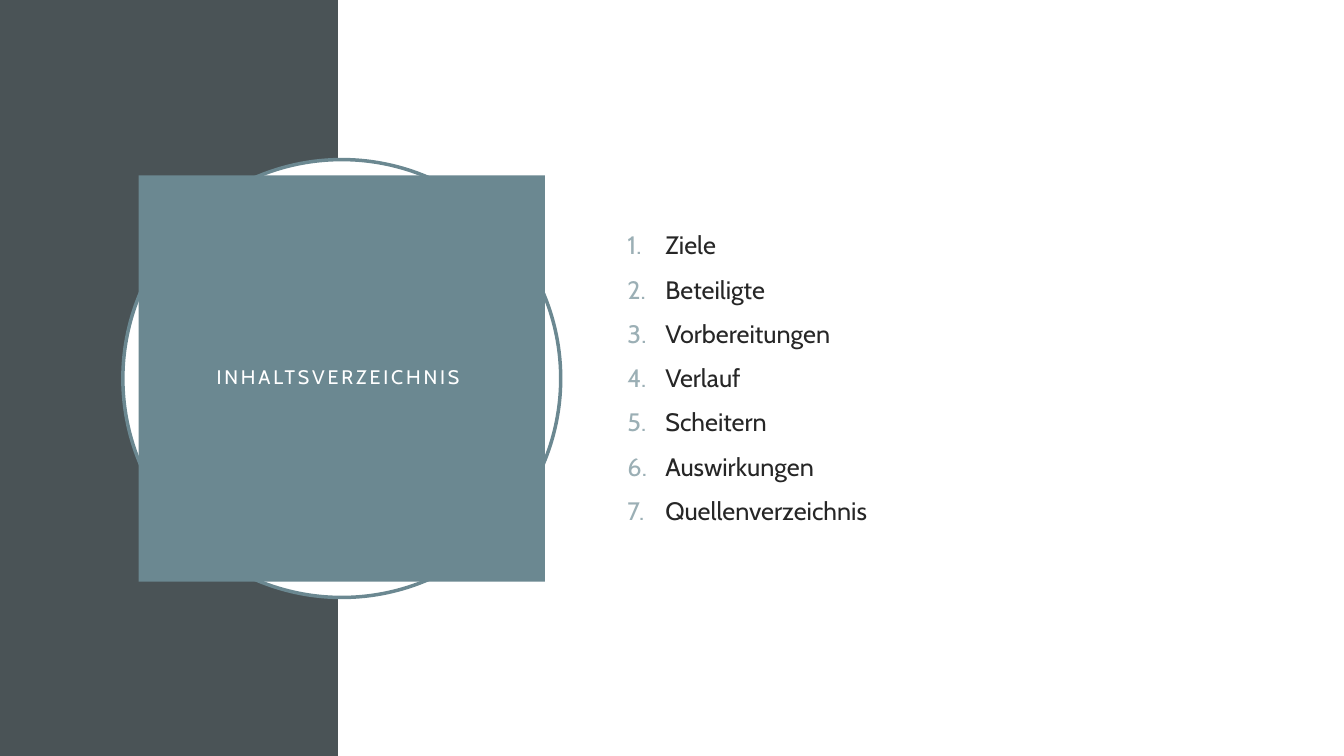
import dataclasses

import lxml.etree
import pptx
import pptx.dml.color
import pptx.enum.shapes
import pptx.enum.text
import pptx.oxml.ns
import pptx.util

PX = 9525
PAGE_WIDTH, PAGE_HEIGHT = 1280, 720
TOPICS = [
    "Ziele",
    "Beteiligte",
    "Vorbereitungen",
    "Verlauf",
    "Scheitern",
    "Auswirkungen",
    "Quellenverzeichnis",
]


@dataclasses.dataclass(frozen=True)
class Theme:
    font: str = "Cabin"
    dark: str = "4A5356"
    accent: str = "6B8891"
    number: str = "9BAFB5"
    text: str = "262626"
    white: str = "FFFFFF"
    title_size: int = 14
    list_size: int = 18
    ring_width: float = 2.5


THEME = Theme()


def color(value):
    return pptx.dml.color.RGBColor.from_string(value)


def place(shape, box):
    shape.left, shape.top, shape.width, shape.height = (
        pptx.util.Emu(length * PX) for length in box
    )


def add_shape(page, kind, box, fill):
    shape = page.shapes.add_shape(kind, *(length * PX for length in box))
    shape.shadow.inherit = False
    shape.fill.solid()
    shape.fill.fore_color.rgb = color(fill)
    shape.line.fill.background()
    return shape


def add_span(para, text, size, fill):
    span = para.add_run()
    span.text = text
    span.font.name = THEME.font
    span.font.size = pptx.util.Pt(size)
    span.font.color.rgb = color(fill)
    return span


def prepare_frame(shape):
    frame = shape.text_frame
    frame.word_wrap = True
    frame.auto_size = pptx.enum.text.MSO_AUTO_SIZE.NONE
    frame.vertical_anchor = pptx.enum.text.MSO_ANCHOR.MIDDLE
    return frame


def bring_to_front(page, shape):
    page.shapes.element.append(shape.element)


def number_para(para, indent):
    properties = para._p.get_or_add_pPr()
    properties.set("marL", str(indent * PX))
    properties.set("indent", str(-indent * PX))
    name = pptx.oxml.ns.qn
    bullet_color = lxml.etree.SubElement(properties, name("a:buClr"))
    lxml.etree.SubElement(bullet_color, name("a:srgbClr"), val=THEME.number)
    lxml.etree.SubElement(properties, name("a:buFont"), typeface=THEME.font)
    lxml.etree.SubElement(properties, name("a:buAutoNum"), type="arabicPeriod")


def build_background(page, box, split):
    left, top, width, height = box
    rectangle = pptx.enum.shapes.MSO_SHAPE.RECTANGLE
    add_shape(page, rectangle, (left, top, split, height), THEME.dark)
    add_shape(page, rectangle, (left + split, top, width - split, height), THEME.white)


def build_title(page, box):
    left, top, width, height = box
    gap = 15
    ring = add_shape(page, pptx.enum.shapes.MSO_SHAPE.OVAL, box, THEME.white)
    ring.line.color.rgb = color(THEME.accent)
    ring.line.width = pptx.util.Pt(THEME.ring_width)

    title = page.shapes.title
    place(title, (left + gap, top + gap, width - 2 * gap, height - 2 * gap))
    title.fill.solid()
    title.fill.fore_color.rgb = color(THEME.accent)
    frame = prepare_frame(title)
    inset = pptx.util.Emu(19 * PX)
    frame.margin_left = frame.margin_right = inset
    frame.margin_top = frame.margin_bottom = inset
    para = frame.paragraphs[0]
    para.alignment = pptx.enum.text.PP_ALIGN.CENTER
    para.line_spacing = 0.9
    span = add_span(para, "INHALTSVERZEICHNIS ", THEME.title_size, THEME.white)
    span.font._element.set("spc", "200")
    bring_to_front(page, title)


def build_topics(page, box):
    body = page.placeholders[1]
    place(body, box)
    frame = prepare_frame(body)
    for index, topic in enumerate(TOPICS):
        para = frame.add_paragraph() if index else frame.paragraphs[0]
        para.line_spacing = 1.0
        para.space_before = pptx.util.Pt(10)
        number_para(para, 36)
        add_span(para, topic, THEME.list_size, THEME.text)
    bring_to_front(page, body)


def main():
    deck = pptx.Presentation()
    deck.slide_width = pptx.util.Emu(PAGE_WIDTH * PX)
    deck.slide_height = pptx.util.Emu(PAGE_HEIGHT * PX)
    page = deck.slides.add_slide(deck.slide_layouts[1])
    build_background(page, (0, 0, PAGE_WIDTH, PAGE_HEIGHT), 322)
    build_title(page, (117, 152, 417, 417))
    build_topics(page, (588, 147, 559, 425))
    deck.save("out.pptx")


if __name__ == "__main__":
    main()
